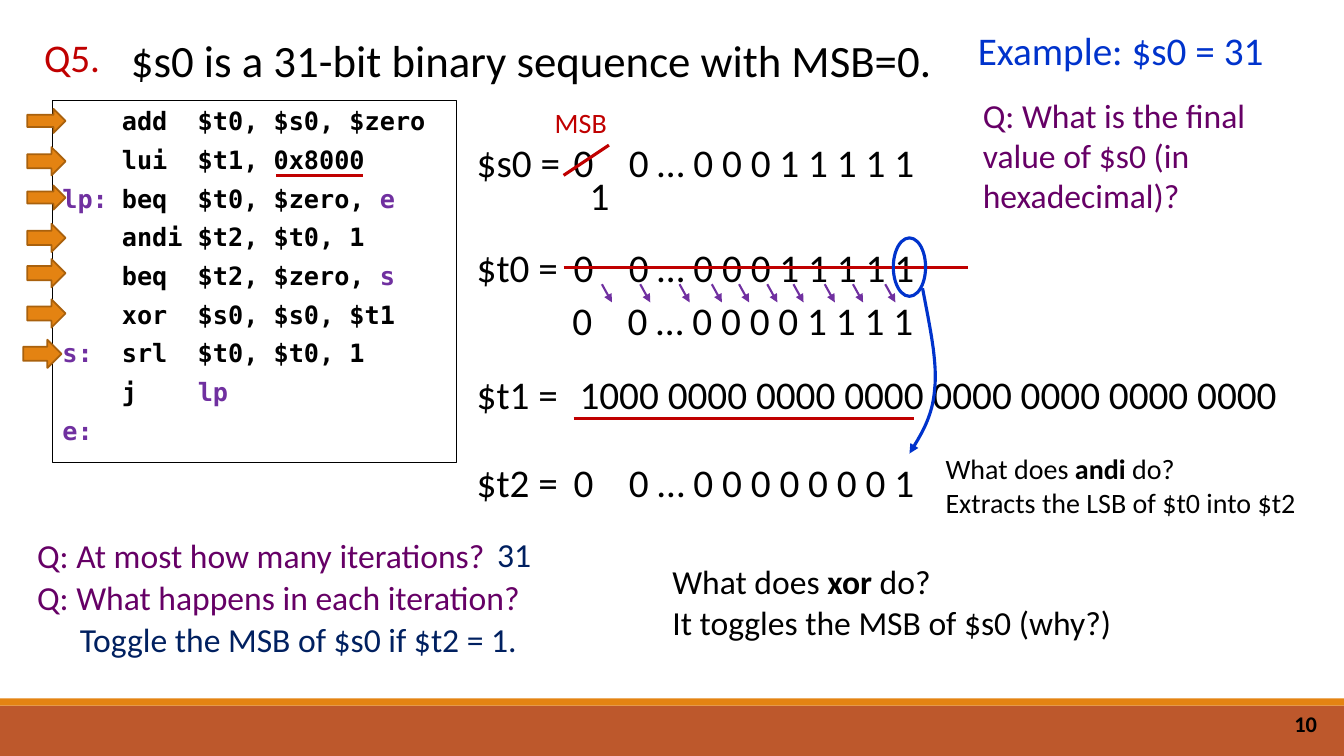
"""Build a slide tracing a MIPS loop that toggles the top bit of $s0."""
from lxml import etree
from pptx import Presentation
from pptx.dml.color import RGBColor
from pptx.enum.shapes import MSO_CONNECTOR, MSO_SHAPE
from pptx.enum.text import MSO_ANCHOR, MSO_AUTO_SIZE, PP_ALIGN
from pptx.oxml.ns import qn
from pptx.util import Inches, Pt

STRAIGHT = MSO_CONNECTOR.STRAIGHT
RECT, OVAL, ARROW = MSO_SHAPE.RECTANGLE, MSO_SHAPE.OVAL, MSO_SHAPE.RIGHT_ARROW
LEFT, CENTER, RIGHT = PP_ALIGN.LEFT, PP_ALIGN.CENTER, PP_ALIGN.RIGHT
TOP, MIDDLE = MSO_ANCHOR.TOP, MSO_ANCHOR.MIDDLE
GROW = MSO_AUTO_SIZE.SHAPE_TO_FIT_TEXT
BODY_FONT, CODE_FONT = "Calibri", "DejaVu Sans Mono"

COLORS = {
    "black": "000000", "white": "FFFFFF", "red": "C00000", "blue": "0033CC",
    "navy": "002060", "plum": "660066", "purple": "7030A0",
    "orange": "E48312", "brown": "A9610D", "rust": "BD582C",
}

CODE = [
    ("", "add  $t0, $s0, $zero", ""),
    ("", "lui  $t1, 0x8000", ""),
    ("lp:", "beq  $t0, $zero, ", "e"),
    ("", "andi $t2, $t0, 1", ""),
    ("", "beq  $t2, $zero, ", "s"),
    ("", "xor  $s0, $s0, $t1", ""),
    ("s:", "srl  $t0, $t0, 1", ""),
    ("", "j    ", "lp"),
    ("e:", "", ""),
]
CODE_TABS = (0.59, 1.56)
STEP_ARROWS = [(0.27, 1.08, 0.24), (0.27, 1.46, 0.28), (0.27, 1.84, 0.24), (0.27, 2.22, 0.28),
               (0.27, 2.57, 0.28), (0.27, 2.97, 0.28), (0.23, 3.37, 0.28)]

REGISTERS = [
    ("$s0 = ", 1.32, 5.59, 4.13, "0    0 … 0 0 0 1 1 1 1 1"),
    ("$t0 = ", 2.36, 5.59, 4.13, "0    0 … 0 0 0 1 1 1 1 1"),
    ("$t1 = ", 3.62, 5.65, 7.32, "1000 0000 0000 0000 0000 0000 0000 0000"),
    ("$t2 = ", 4.5, 5.59, 3.91, "0    0 … 0 0 0 0 0 0 0 1"),
]
SHIFTED_T0 = "0    0 … 0 0 0 0 1 1 1 1"

NOTES = [
    ((0.22, 0.28, 0.99, 0.57), ["Q5."], 28, "red", CENTER),
    ((1.2, 0.28, 11.92, 0.64), ["$s0 is a 31-bit binary sequence with MSB=0."], 32, "black", LEFT),
    ((9.6, 0.21, 3.36, 0.57), ["Example: $s0 = 31"], 28, "blue", LEFT),
    ((9.65, 0.89, 3.5, 1.31), ["Q: What is the final value of $s0 (in hexadecimal)?"], 24, "plum", LEFT),
    ((5.4, 1, 0.72, 0.44), ["MSB"], 20, "red", CENTER),
    ((5.67, 1.65, 0.55, 0.57), ["1"], 28, "black", CENTER),
    ((5.58, 2.89, 4.13, 0.57), [SHIFTED_T0], 28, "black", LEFT),
    ((9.28, 4.43, 3.84, 0.77),
     [("What does ", "andi", " do?"), "Extracts the LSB of $t0 into $t2"], 20, "black", LEFT),
    ((6.57, 5.52, 4.82, 0.91),
     [("What does ", "xor", " do?"), "It toggles the MSB of $s0 (why?)"], 24, "black", LEFT),
    ((0.27, 5.26, 4.84, 0.5), ["Q: At most how many iterations?"], 24, "plum", LEFT),
    ((4.72, 5.25, 0.76, 0.5), ["31"], 24, "navy", CENTER),
    ((0.27, 5.67, 5.04, 0.5), ["Q: What happens in each iteration?"], 24, "plum", LEFT),
    ((0.61, 6.09, 4.7, 0.5), ["Toggle the MSB of $s0 if $t2 = 1."], 24, "navy", CENTER),
]

RED_STROKES = [((2.74, 1.74), (3.6, 1.74)), ((5.69, 4.15), (9.07, 4.15)),
               ((6.04, 1.44), (5.59, 1.74)), ((5.59, 2.65), (9.6, 2.65))]
SHIFT_ARROWS_X = [5.97, 6.35, 6.74, 7.06, 7.33, 7.61, 7.87, 8.18, 8.46, 8.78]
LSB_CURVE = [((9.15, 2.86), (9.22, 3.23), (9.3, 3.59), (9.27, 3.86)),
             ((9.27, 3.86), (9.25, 4.14), (9.13, 4.32), (9.02, 4.5))]
CURVE_STEPS = 16


def color(name):
    return RGBColor.from_string(COLORS[name])


def style_line(line, name, width, arrow=False):
    line.color.rgb = color(name)
    line.width = Pt(width)
    if arrow:
        etree.SubElement(line._get_or_add_ln(), qn("a:tailEnd"), type="triangle")


def add_block(kind, box, fill=None, outline=None, width=1):
    block = slide.shapes.add_shape(kind, *map(Inches, box))
    block.shadow.inherit = False
    if fill:
        block.fill.solid()
        block.fill.fore_color.rgb = color(fill)
    else:
        block.fill.background()
    if outline:
        style_line(block.line, outline, width)
    else:
        block.line.fill.background()
    return block


def add_stroke(shapes, start, end, name, width, arrow=False):
    stroke = shapes.add_connector(STRAIGHT, *map(Inches, start + end))
    style_line(stroke.line, name, width, arrow)
    etree.SubElement(stroke._element.spPr, qn("a:effectLst"))


def set_font(font, face, size, name, bold=False):
    font.name, font.size, font.bold = face, Pt(size), bold
    font.color.rgb = color(name)


def add_note(box, lines, size, name, align=LEFT, bold=False, anchor=TOP):
    note = slide.shapes.add_textbox(*map(Inches, box)).text_frame
    note.word_wrap = True
    note.vertical_anchor = anchor
    if anchor == TOP:
        note.auto_size = GROW
    for index, line in enumerate(lines):
        paragraph = note.paragraphs[0] if index == 0 else note.add_paragraph()
        paragraph.alignment = align
        set_font(paragraph.font, BODY_FONT, size, name, bold)
        parts = (line,) if isinstance(line, str) else line
        for position, part in enumerate(parts):
            run = paragraph.add_run()
            run.text = part
            if position == 1:
                run.font.bold = True


def add_code(box):
    listing = add_block(RECT, box, "white", "black", 0.75).text_frame
    listing.vertical_anchor = TOP
    for index, (label, instruction, target) in enumerate(CODE):
        paragraph = listing.paragraphs[0] if index == 0 else listing.add_paragraph()
        paragraph.alignment = LEFT
        paragraph.space_after = Pt(6)
        tabs = etree.SubElement(paragraph._p.get_or_add_pPr(), qn("a:tabLst"))
        for stop in CODE_TABS:
            etree.SubElement(tabs, qn("a:tab"), pos=str(Inches(stop)), algn="l")
        set_font(paragraph.font, CODE_FONT, 18, "black", True)
        tab = "\t" if instruction else ""
        for text, name in ((label + tab, "purple"), (instruction, "black"), (target, "purple")):
            if text:
                run = paragraph.add_run()
                run.text = text
                run.font.color.rgb = color(name)


def curve_point(curve, t):
    weights = ((1 - t) ** 3, 3 * t * (1 - t) ** 2, 3 * t * t * (1 - t), t ** 3)
    return tuple(Inches(sum(w * p[axis] for w, p in zip(weights, curve))) for axis in (0, 1))


presentation = Presentation()
presentation.slide_width, presentation.slide_height = Inches(13.33), Inches(7.5)
slide = presentation.slides.add_slide(presentation.slide_layouts[6])

add_block(RECT, (0, 7, 13.33, 0.5), "rust")
add_block(RECT, (0, 6.93, 13.33, 0.07), "orange")
add_note((10.16, 6.98, 3, 0.4), ["10"], 16, "black", RIGHT, True, MIDDLE)

add_code((0.52, 1, 4.01, 3.59))
for left, top, height in STEP_ARROWS:
    add_block(ARROW, (left, top, 0.38, height), "orange", "brown", 1.25)

for register, top, left, width, bits in REGISTERS:
    add_note((4.63, top, 1.11, 0.57), [register], 28, "black")
    add_note((left, top, width, 0.57), [bits], 28, "black")
for note in NOTES:
    add_note(*note)

for start, end in RED_STROKES:
    add_stroke(slide.shapes, start, end, "red", 2.25)
shift_arrows = slide.shapes.add_group_shape().shapes
for x in SHIFT_ARROWS_X:
    add_stroke(shift_arrows, (x, 2.82), (x + 0.1, 3), "purple", 1.5, True)

add_block(OVAL, (8.86, 2.36, 0.32, 0.58), outline="blue", width=2.25)
trail = [curve_point(curve, step / CURVE_STEPS)
         for curve in LSB_CURVE for step in range(CURVE_STEPS + 1)]
builder = slide.shapes.build_freeform(*trail[0])
builder.add_line_segments(trail[1:], close=False)
lsb_arrow = builder.convert_to_shape()
lsb_arrow.shadow.inherit = False
lsb_arrow.fill.background()
style_line(lsb_arrow.line, "blue", 2.25, True)

presentation.save("out.pptx")
